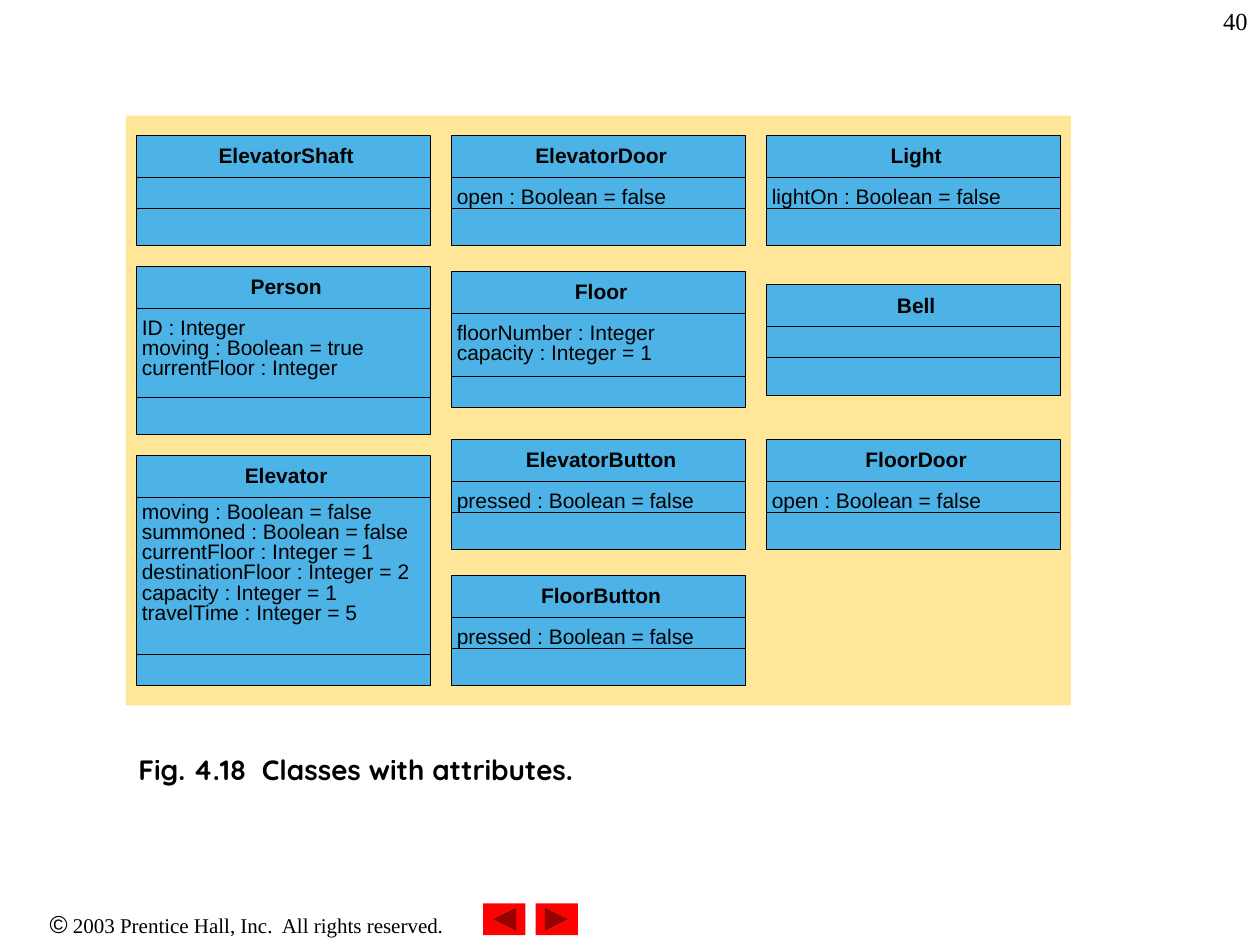
import pptx
import pptx.util
import pptx.dml.color
import pptx.enum.shapes
import pptx.enum.text
import pptx.oxml.ns
from lxml import etree

Cm, Pt = pptx.util.Cm, pptx.util.Pt
RGBColor = pptx.dml.color.RGBColor
SHAPE = pptx.enum.shapes.MSO_SHAPE
ALIGN = pptx.enum.text.PP_ALIGN

BLACK = RGBColor(0x00, 0x00, 0x00)
SAND = RGBColor(0xFF, 0xE6, 0x99)
BLUE = RGBColor(0x4D, 0xB3, 0xE6)
RED = RGBColor(0xFF, 0x00, 0x00)

# Per column: name, top, height, height down to the operations, attributes (cm)
COLUMNS = [
    [
        ("ElevatorShaft", 2.73, 2.22, 1.47, []),
        ("Person", 5.37, 3.39, 2.64, [
            "ID : Integer",
            "moving : Boolean = true",
            "currentFloor : Integer",
        ]),
        ("Elevator", 9.18, 4.64, 4.01, [
            "moving : Boolean = false",
            "summoned : Boolean = false",
            "currentFloor : Integer = 1",
            "destinationFloor : Integer = 2",
            "capacity : Integer = 1",
            "travelTime : Integer = 5",
        ]),
    ],
    [
        ("ElevatorDoor", 2.73, 2.22, 1.47, ["open : Boolean = false"]),
        ("Floor", 5.47, 2.74, 2.12, [
            "floorNumber : Integer",
            "capacity : Integer = 1",
        ]),
        ("ElevatorButton", 8.86, 2.22, 1.47, ["pressed : Boolean = false"]),
        ("FloorButton", 11.6, 2.22, 1.47, ["pressed : Boolean = false"]),
    ],
    [
        ("Light", 2.73, 2.22, 1.47, ["lightOn : Boolean = false"]),
        ("Bell", 5.74, 2.22, 1.47, []),
        ("FloorDoor", 8.86, 2.22, 1.47, ["open : Boolean = false"]),
    ],
]
CAPTION = "Fig. 4.18  Classes with attributes."
COPYRIGHT = " 2003 Prentice Hall, Inc.  All rights reserved."
BUTTONS = [
    (SHAPE.ACTION_BUTTON_BACK_OR_PREVIOUS, 9.74),
    (SHAPE.ACTION_BUTTON_FORWARD_OR_NEXT, 10.8),
]

CLASS_LEFT, CLASS_STEP, CLASS_WIDTH = 2.75, 6.35, 5.93
HEADER_HEIGHT = 0.84
LINE_WIDTH = Pt(0.25)


def add_box(s, shape, x, y, w, h, fill, line=None):
    sp = s.shapes.add_shape(shape, Cm(x), Cm(y), Cm(w), Cm(h))
    sp.shadow.inherit = False
    sp.fill.solid()
    sp.fill.fore_color.rgb = fill
    if line is None:
        sp.line.fill.background()
    else:
        sp.line.color.rgb = line
        sp.line.width = LINE_WIDTH


def add_divider(s, x, y, w):
    line = s.shapes.add_connector(
        pptx.enum.shapes.MSO_CONNECTOR.STRAIGHT, Cm(x), Cm(y), Cm(x + w), Cm(y))
    line.line.color.rgb = BLACK
    line.line.width = LINE_WIDTH
    etree.SubElement(line._element.spPr, pptx.oxml.ns.qn("a:effectLst"))


def add_text(s, x, y, w, h, paragraphs, align=ALIGN.LEFT, inset=True, spacing=None):
    """Each paragraph is a list of runs: (text, size, font, bold)."""
    box = s.shapes.add_textbox(Cm(x), Cm(y), Cm(w), Cm(h))
    tf = box.text_frame
    tf.word_wrap = True
    if not inset:
        tf.margin_left = tf.margin_right = tf.margin_top = tf.margin_bottom = 0
    for i, runs in enumerate(paragraphs):
        p = tf.paragraphs[0] if i == 0 else tf.add_paragraph()
        p.alignment = align
        if spacing:
            p.line_spacing = spacing
        for text, size, font, bold in runs:
            r = p.add_run()
            r.text = text
            r.font.size = Pt(size)
            r.font.name = font
            r.font.bold = bold
            r.font.color.rgb = BLACK
    return tf


def add_class(s, x, name, top, height, operations, attributes):
    add_box(s, SHAPE.RECTANGLE, x, top, CLASS_WIDTH, height, BLUE, BLACK)
    for offset in (HEADER_HEIGHT, operations):
        add_divider(s, x, top + offset, CLASS_WIDTH)
    add_text(s, x + 0.11, top + 0.25, 5.82, 0.6, [[(name, 12, "Arial", True)]],
             ALIGN.CENTER, inset=False, spacing=0.8)
    if attributes:
        # The longest list starts closer to the header
        offset = 0.97 if len(attributes) > 3 else 1.06
        add_text(s, x + 0.11, top + offset, 5.72, 0.52 * len(attributes),
                 [[(text, 12, "Arial", False)] for text in attributes],
                 inset=False, spacing=0.8)


def main():
    prs = pptx.Presentation()
    prs.slide_width, prs.slide_height = Cm(25.4), Cm(19.05)
    s = prs.slides.add_slide(prs.slide_layouts[6])

    add_text(s, 0, 18.21, 9.95, 0.86, [[
        ("©", 14, "Arial", False),
        (COPYRIGHT, 12, "Times New Roman", False),
    ]], ALIGN.CENTER)
    for shape, x in BUTTONS:
        add_box(s, shape, x, 18.21, 0.85, 0.64, RED)

    tf = add_text(s, 0, 15.04, 13.13, 0.94, [[(CAPTION, 16, "Quicksand", True)]])
    pPr = tf.paragraphs[0]._p.get_or_add_pPr()
    pPr.set("marL", str(Cm(2.54)))
    pPr.set("indent", "0")

    add_box(s, SHAPE.RECTANGLE, 2.54, 2.33, 19.05, 11.89, SAND)
    for i, column in enumerate(COLUMNS):
        for entry in column:
            add_class(s, CLASS_LEFT + i * CLASS_STEP, *entry)

    add_text(s, 20.11, 0, 5.29, 1.27, [[("40", 14, "Times New Roman", False)]],
             ALIGN.RIGHT)
    prs.save("out.pptx")


if __name__ == "__main__":
    main()
